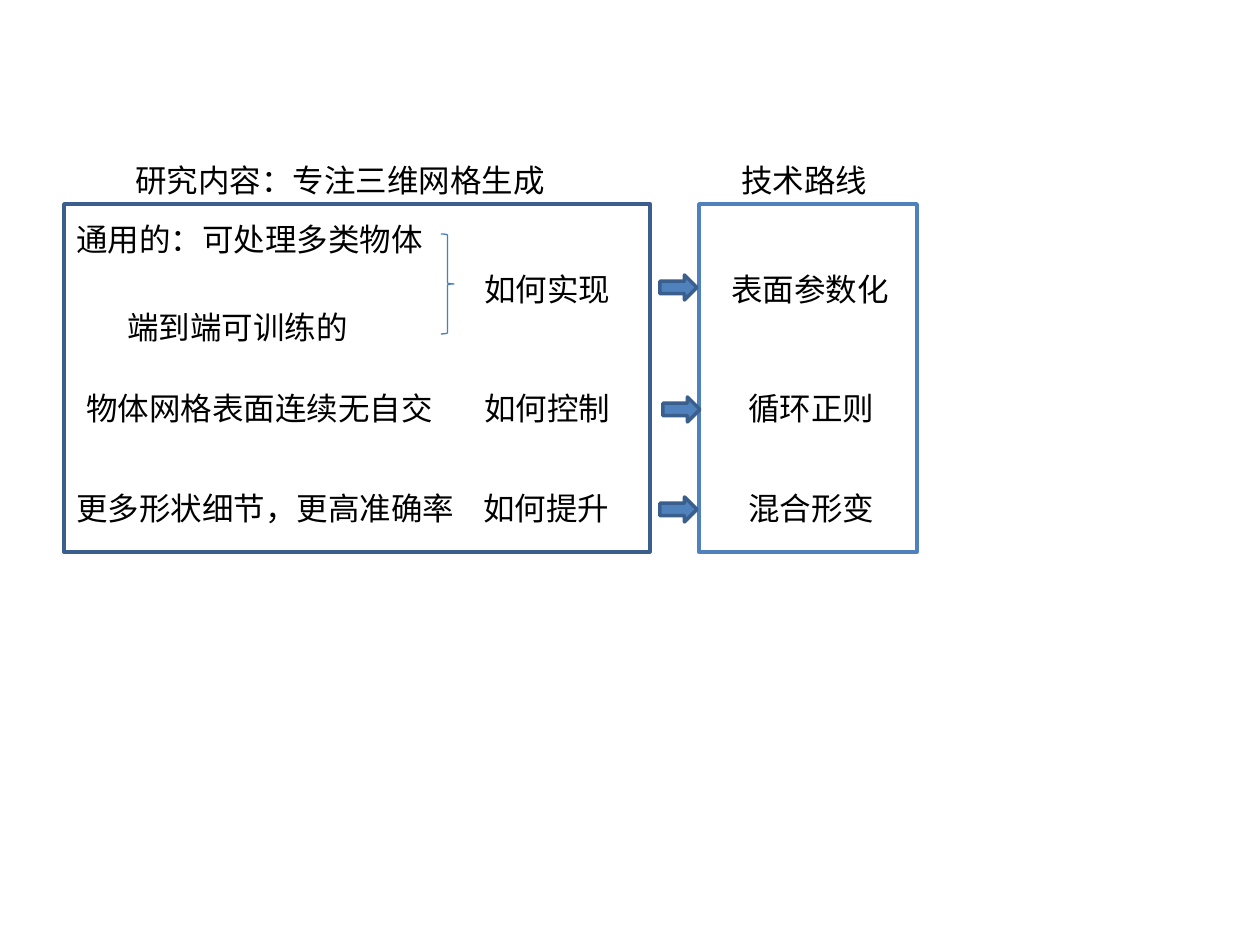
from pptx import Presentation
from pptx.dml.color import RGBColor
from pptx.enum.shapes import MSO_SHAPE
from pptx.enum.text import MSO_AUTO_SIZE, PP_ALIGN
from pptx.util import Emu, Pt

RECT = MSO_SHAPE.RECTANGLE
ARROW = MSO_SHAPE.RIGHT_ARROW
BRACE = MSO_SHAPE.RIGHT_BRACE
FIT = MSO_AUTO_SIZE.SHAPE_TO_FIT_TEXT
LEFT = PP_ALIGN.LEFT
PX = 914400 / 126
BLUE, NAVY, BRACE_BLUE, BLACK = "4F81BD", "3A5F8C", "4B7EBC", "000000"


def color(value):
    return RGBColor.from_string(value)


def px(*lengths):
    return [Emu(round(n * PX)) for n in lengths]


class Board:
    font = {"name": "Calibri", "size": Pt(18)}
    label_height = 50

    def __init__(self, slide):
        self.slide = slide

    def shape(self, kind, x, y, w, h, line, width=2, fill=None):
        item = self.slide.shapes.add_shape(kind, *px(x, y, w, h))
        item.shadow.inherit = False
        if fill:
            item.fill.solid()
            item.fill.fore_color.rgb = color(fill)
        else:
            item.fill.background()
        item.line.color.rgb = color(line)
        item.line.width = Pt(width)

    def label(self, text, x, y, w, wrap=True):
        box = self.slide.shapes.add_textbox(*px(x, y, w, self.label_height))
        frame = box.text_frame
        for key, value in {"word_wrap": wrap, "auto_size": FIT}.items():
            setattr(frame, key, value)
        paragraph = frame.paragraphs[0]
        paragraph.alignment = LEFT
        run = paragraph.add_run()
        run.text = text
        for key, value in self.font.items():
            setattr(run.font, key, value)
        run.font.color.rgb = color(BLACK)


deck = Presentation()
deck.slide_width, deck.slide_height = px(1260, 945)
board = Board(deck.slides.add_slide(deck.slide_layouts[6]))

# Framed columns with their headings
columns = [
    ("研究内容：专注三维网格生成", 123, 539, 64, 586, NAVY),
    ("技术路线", 729, 188, 699, 218, BLUE),
]
for heading, text_x, text_w, frame_x, frame_w, line in columns:
    board.shape(RECT, frame_x, 204, frame_w, 348, line)
    board.label(heading, text_x, 155, text_w)

# Goals on the left, the first two joined by a brace
board.shape(BRACE, 441, 234, 13, 100, BRACE_BLUE, 0.75)
goals = [
    ("通用的：可处理多类物体", 64, 214, 461, True),
    ("端到端可训练的", 115, 302, 305, True),
    ("物体网格表面连续无自交", 74, 383, 375, False),
    ("更多形状细节，更高准确率", 64, 483, 407, False),
]
for goal in goals:
    board.label(*goal)

# Each question leads by an arrow to its technique
steps = [
    ("如何实现", 472, 264, 660, 275, "表面参数化", 719, 184),
    ("如何控制", 472, 383, 663, 397, "循环正则", 736, 152),
    ("如何提升", 471, 483, 660, 497, "混合形变", 736, 152),
]
for question, question_x, y, arrow_x, arrow_y, technique, technique_x, w in steps:
    board.label(question, question_x, y, 188)
    board.shape(ARROW, arrow_x, arrow_y, 37, 25, NAVY, fill=BLUE)
    board.label(technique, technique_x, y, w, wrap=False)

deck.save("out.pptx")
